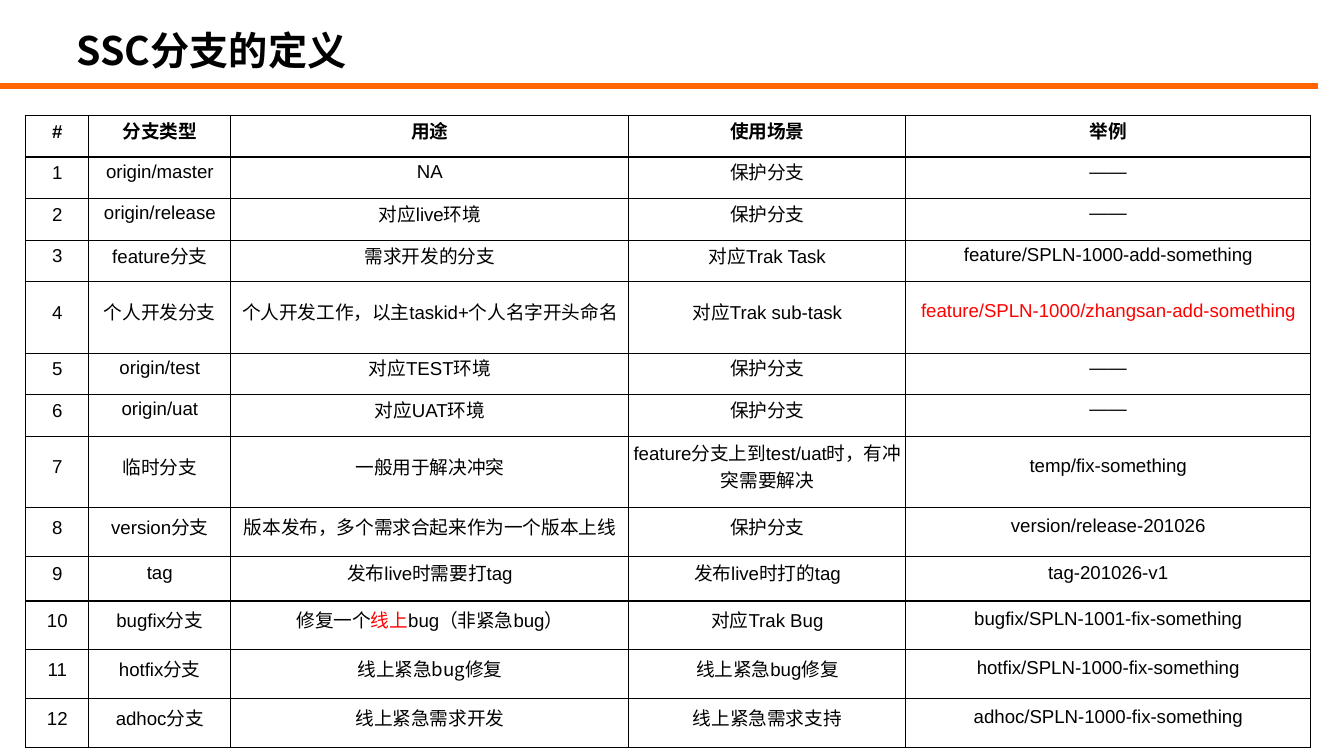
from lxml.etree import SubElement
from pptx import Presentation
from pptx.dml.color import RGBColor
from pptx.enum.shapes import MSO_CONNECTOR as CONN
from pptx.enum.text import MSO_ANCHOR as ANCHOR, PP_ALIGN as ALIGN
from pptx.oxml.ns import qn
from pptx.util import Pt

BLACK = RGBColor(0x00, 0x00, 0x00)
RED = RGBColor(0xFF, 0x00, 0x00)
ORANGE = RGBColor(0xFF, 0x66, 0x00)
LATIN = "Arial"
CJK = "Noto Sans CJK SC"

COL_WIDTHS = [33.6, 76.2, 213.2, 148.4, 216.7]
ROW_HEIGHTS = [22.3] * 4 + [38.2] + [22.3] * 2 + [38.2, 26.2, 23.8] + [26.2] * 3

HEADER = ["#", "分支类型", "用途", "使用场景", "举例"]
PROTECTED = "保护分支"
NONE = "——"
BRANCHES = [
    ["origin/master", "NA", PROTECTED, NONE],
    ["origin/release", "对应live环境", PROTECTED, NONE],
    ["feature分支", "需求开发的分支", "对应Trak Task", "feature/SPLN-1000-add-something"],
    ["个人开发分支",
     [("个人开发工作，", CJK, BLACK), ("以主taskid+个人名字开头命名", LATIN, BLACK)],
     "对应Trak sub-task",
     [("feature/SPLN-1000/zhangsan-add-something", LATIN, RED)]],
    ["origin/test", "对应TEST环境", PROTECTED, NONE],
    ["origin/uat", "对应UAT环境", PROTECTED, NONE],
    ["临时分支", "一般用于解决冲突", "feature分支上到test/uat时，有冲突需要解决",
     "temp/fix-something"],
    ["version分支", [("版本发布，多个需求合起来作为一个版本上线", CJK, BLACK)],
     PROTECTED, "version/release-201026"],
    ["tag", "发布live时需要打tag", "发布live时打的tag", "tag-201026-v1"],
    ["bugfix分支",
     [("修复一个", CJK, BLACK), ("线上", CJK, RED), ("bug", LATIN, BLACK),
      ("（非紧急", CJK, BLACK), ("bug", LATIN, BLACK), ("）", CJK, BLACK)],
     "对应Trak Bug", "bugfix/SPLN-1001-fix-something"],
    ["hotfix分支", [("线上紧急bug修复", CJK, BLACK)], "线上紧急bug修复",
     "hotfix/SPLN-1000-fix-something"],
    ["adhoc分支", [("线上紧急需求开发", CJK, BLACK)],
     [("线上紧急需求支持", CJK, BLACK)], "adhoc/SPLN-1000-fix-something"],
]


def format_run(r, size, font, color, bold):
    r.font.size = Pt(size)
    r.font.bold = bold
    r.font.color.rgb = color
    r.font.name = font
    SubElement(r.font._element, qn("a:ea")).set("typeface", CJK)


def add_title(slide, text, left, top, width, height):
    sp = slide.shapes.title
    sp.left, sp.top, sp.width, sp.height = Pt(left), Pt(top), Pt(width), Pt(height)
    tf = sp.text_frame
    tf.text = text
    tf.word_wrap = True
    tf.vertical_anchor = ANCHOR.MIDDLE
    tf.margin_left = tf.margin_right = tf.margin_top = tf.margin_bottom = Pt(2.9)
    p = tf.paragraphs[0]
    p.alignment = ALIGN.LEFT
    p.line_spacing = 0.9
    format_run(p.runs[0], 21, CJK, BLACK, True)


def add_rule(slide, left, top, width):
    line = slide.shapes.add_connector(
        CONN.STRAIGHT, Pt(left), Pt(top), Pt(left + width), Pt(top))
    line.line.color.rgb = ORANGE
    line.line.width = Pt(3)
    SubElement(line._element.spPr, qn("a:effectLst"))


def add_borders(cell):
    tc_pr = cell._tc.get_or_add_tcPr()
    for i, side in enumerate(("lnL", "lnR", "lnT", "lnB")):
        ln = tc_pr.makeelement(qn(f"a:{side}"), {"w": str(Pt(0.68))})
        fill = SubElement(ln, qn("a:solidFill"))
        SubElement(fill, qn("a:srgbClr")).set("val", str(BLACK))
        tc_pr.insert(i, ln)


def fill_cell(cell, content, bold, spacing):
    cell.fill.background()
    add_borders(cell)
    cell.vertical_anchor = ANCHOR.MIDDLE
    cell.margin_left = cell.margin_right = cell.margin_top = Pt(0.7)
    cell.margin_bottom = Pt(7.2)
    p = cell.text_frame.paragraphs[0]
    p.alignment = ALIGN.CENTER
    p.line_spacing = spacing
    runs = [(content, LATIN, BLACK)] if isinstance(content, str) else content
    for text, font, color in runs:
        r = p.add_run()
        r.text = text
        format_run(r, 10, font, color, bold)


def add_branch_table(slide, left, top):
    rows = [HEADER] + [[str(n)] + branch for n, branch in enumerate(BRANCHES, 1)]
    table = slide.shapes.add_table(
        len(rows), len(HEADER), Pt(left), Pt(top),
        Pt(sum(COL_WIDTHS)), Pt(sum(ROW_HEIGHTS))).table
    table.first_row = table.horz_banding = False
    for col, width in zip(table.columns, COL_WIDTHS):
        col.width = Pt(width)
    for i, (row, height) in enumerate(zip(rows, ROW_HEIGHTS)):
        table.rows[i].height = Pt(height)
        for j, content in enumerate(row):
            fill_cell(table.cell(i, j), content, i == 0, 1.15 if j == 0 else 1.0)


def main():
    prs = Presentation()
    prs.slide_width, prs.slide_height = Pt(720), Pt(405)
    slide = prs.slides.add_slide(prs.slide_layouts[5])
    add_rule(slide, 0, 46.1, 706.3)
    add_title(slide, "SSC分支的定义", 38.2, 14.2, 254, 28)
    add_branch_table(slide, 13.9, 61.8)
    prs.save("out.pptx")


if __name__ == "__main__":
    main()
